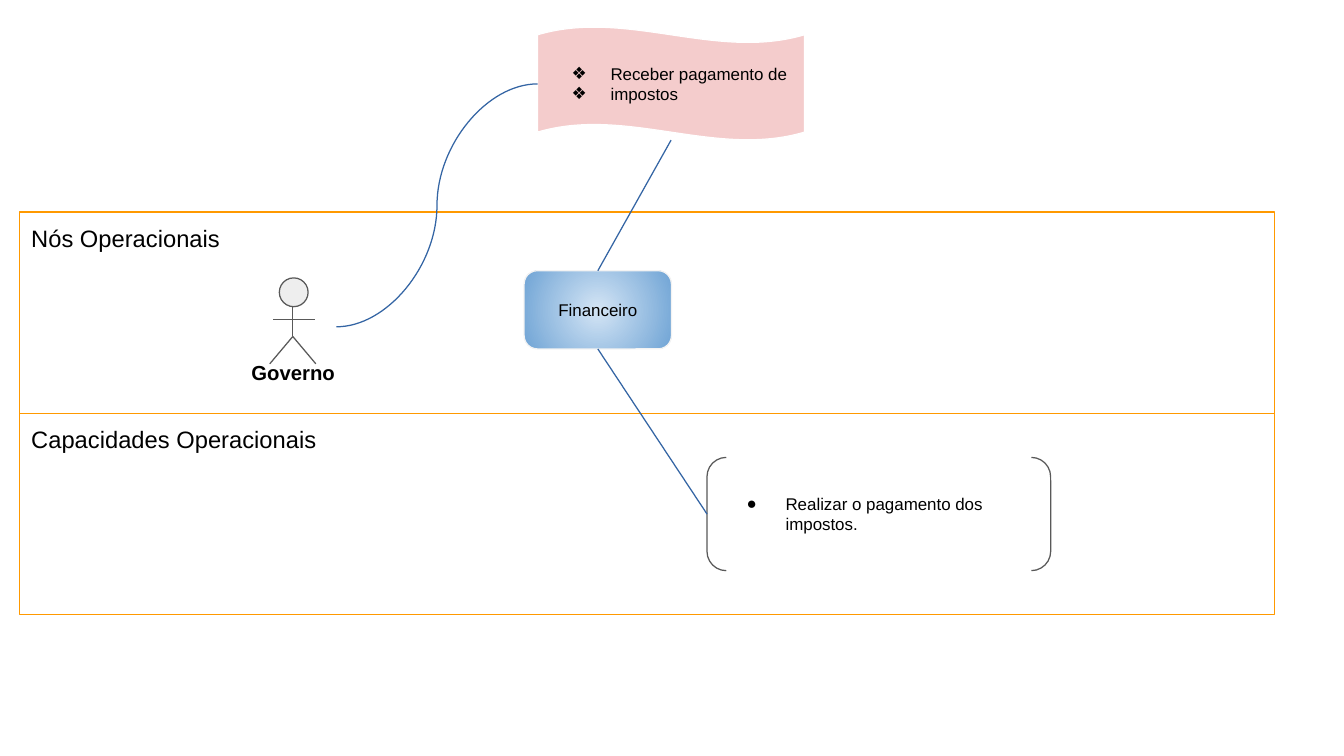
from lxml import etree
from pptx import Presentation
from pptx.dml.color import RGBColor
from pptx.enum.shapes import MSO_CONNECTOR, MSO_SHAPE
from pptx.enum.text import MSO_ANCHOR, PP_ALIGN
from pptx.oxml.ns import qn
from pptx.util import Cm, Pt

RECTANGLE, WAVE = MSO_SHAPE.RECTANGLE, MSO_SHAPE.WAVE
ROUNDED, BRACKETS = MSO_SHAPE.ROUNDED_RECTANGLE, MSO_SHAPE.DOUBLE_BRACKET
CIRCLE = MSO_SHAPE.FLOWCHART_CONNECTOR
STRAIGHT, CURVE = MSO_CONNECTOR.STRAIGHT, MSO_CONNECTOR.CURVE
TOP, MIDDLE = MSO_ANCHOR.TOP, MSO_ANCHOR.MIDDLE
LEFT, CENTER = PP_ALIGN.LEFT, PP_ALIGN.CENTER

BLACK = RGBColor(0x00, 0x00, 0x00)
WHITE = RGBColor(0xFF, 0xFF, 0xFF)
ORANGE = RGBColor(0xFF, 0x99, 0x00)
PINK = RGBColor(0xF4, 0xCC, 0xCC)
PALE_GRAY = RGBColor(0xEE, 0xEE, 0xEE)
EDGE_GRAY = RGBColor(0xF3, 0xF3, 0xF3)
DARK_GRAY = RGBColor(0x59, 0x59, 0x59)
LINK_BLUE = RGBColor(0x34, 0x65, 0xA4)
GLOW = (RGBColor(0xD4, 0xE5, 0xF5), RGBColor(0x70, 0xA4, 0xD5))

LANE_LEFT, LANE_TOP, LANE_WIDTH, LANE_HEIGHT = 0.4, 4.42, 26.16, 4.19
LANES = ("Nós Operacionais", "Capacidades Operacionais")
LIMBS = (
    (6.1, 6.38, 6.1, 7.01),
    (5.69, 6.66, 6.56, 6.66),
    (6.1, 7.01, 5.62, 7.58),
    (6.1, 7.01, 6.58, 7.58),
)


def set_format(target, values):
    for name, value in values.items():
        setattr(target, name, value)


def add_bullet(para, symbol):
    properties = para._p.get_or_add_pPr()
    properties.set("marL", str(Cm(1.27)))
    properties.set("indent", str(Cm(-0.81)))
    color = etree.SubElement(properties, qn("a:buClr"))
    etree.SubElement(color, qn("a:srgbClr"), val=str(BLACK))
    etree.SubElement(properties, qn("a:buFont"), typeface="Arial")
    etree.SubElement(properties, qn("a:buChar"), char=symbol)


def write(shape, lines, size, align=LEFT, anchor=MIDDLE, bold=False, bullet=None):
    frame = shape.text_frame
    set_format(frame, {"word_wrap": True, "vertical_anchor": anchor})
    for side in ("left", "top", "right", "bottom"):
        setattr(frame, f"margin_{side}", Cm(0.25))
    for number, line in enumerate(lines):
        para = frame.add_paragraph() if number else frame.paragraphs[0]
        para.alignment = align
        if bullet:
            add_bullet(para, bullet)
        span = para.add_run()
        span.text = line
        set_format(span.font, {"name": "Arial", "size": Pt(size), "bold": bold})
        span.font.color.rgb = BLACK


def add_box(shapes, kind, place, line, fill=None, adjustments=()):
    box = shapes.add_shape(kind, *map(Cm, place))
    box.shadow.inherit = False
    for number, value in enumerate(adjustments):
        box.adjustments[number] = value
    if fill is None:
        box.fill.background()
    else:
        box.fill.solid()
        box.fill.fore_color.rgb = fill
    box.line.color.rgb = line
    box.line.width = Pt(0.75)
    return box


def add_glow(box):
    box.fill.gradient()
    for stop, color in zip(box.fill.gradient_stops, GLOW):
        stop.color.rgb = color
    gradient = box._element.spPr.find(qn("a:gradFill"))
    radial = etree.Element(qn("a:path"), path="circle")
    etree.SubElement(
        radial, qn("a:fillToRect"), dict.fromkeys("ltrb", "50000")
    )
    gradient.replace(gradient.find(qn("a:lin")), radial)


def add_link(shapes, ends, color, kind=STRAIGHT):
    link = shapes.add_connector(kind, *map(Cm, ends))
    link.line.color.rgb = color
    link.line.width = Pt(0.75)
    etree.SubElement(link._element.spPr, qn("a:effectLst"))
    return link


def add_actor(shapes, name):
    actor = shapes.add_group_shape().shapes
    add_box(actor, CIRCLE, (5.82, 5.79, 0.6, 0.6), DARK_GRAY, PALE_GRAY)
    for limb in LIMBS:
        add_link(actor, limb, DARK_GRAY)
    label = actor.add_textbox(*map(Cm, (4.55, 7.26, 3.12, 1.04)))
    write(label, [name], 12, CENTER, TOP, bold=True)


def main():
    deck = Presentation()
    set_format(deck, {"slide_width": Cm(28), "slide_height": Cm(15.75)})
    page = deck.slides.add_slide(deck.slide_layouts[6])
    shapes = page.shapes

    for number, title in enumerate(LANES):
        place = (LANE_LEFT, LANE_TOP + number * LANE_HEIGHT, LANE_WIDTH, LANE_HEIGHT)
        lane = add_box(shapes, RECTANGLE, place, ORANGE)
        write(lane, [title], 14, anchor=TOP)

    goal = add_box(shapes, WAVE, (11.2, 0.56, 5.56, 2.36), WHITE, PINK, (0.07, 0))
    write(goal, ["Receber pagamento de", "impostos"], 10, bullet="❖")
    add_actor(shapes, "Governo")
    capability = add_box(
        shapes, BRACKETS, (14.73, 9.53, 7.16, 2.36), DARK_GRAY, adjustments=(0.17,)
    )
    write(capability, ["Realizar o pagamento dos impostos."], 10, bullet="●")
    finance = add_box(
        shapes, ROUNDED, (10.92, 5.64, 3.07, 1.63), EDGE_GRAY, adjustments=(0.17,)
    )
    add_glow(finance)
    write(finance, ["Financeiro"], 10, CENTER)

    add_link(shapes, (7.01, 6.81, 11.2, 1.75), LINK_BLUE, CURVE)
    to_goal = add_link(shapes, (12.45, 5.64, 13.98, 2.92), LINK_BLUE)
    to_goal.begin_connect(finance, 0)
    to_capability = add_link(shapes, (12.45, 7.27, 14.73, 10.71), LINK_BLUE)
    to_capability.begin_connect(finance, 2)
    to_capability.end_connect(capability, 1)

    deck.save("out.pptx")


if __name__ == "__main__":
    main()
